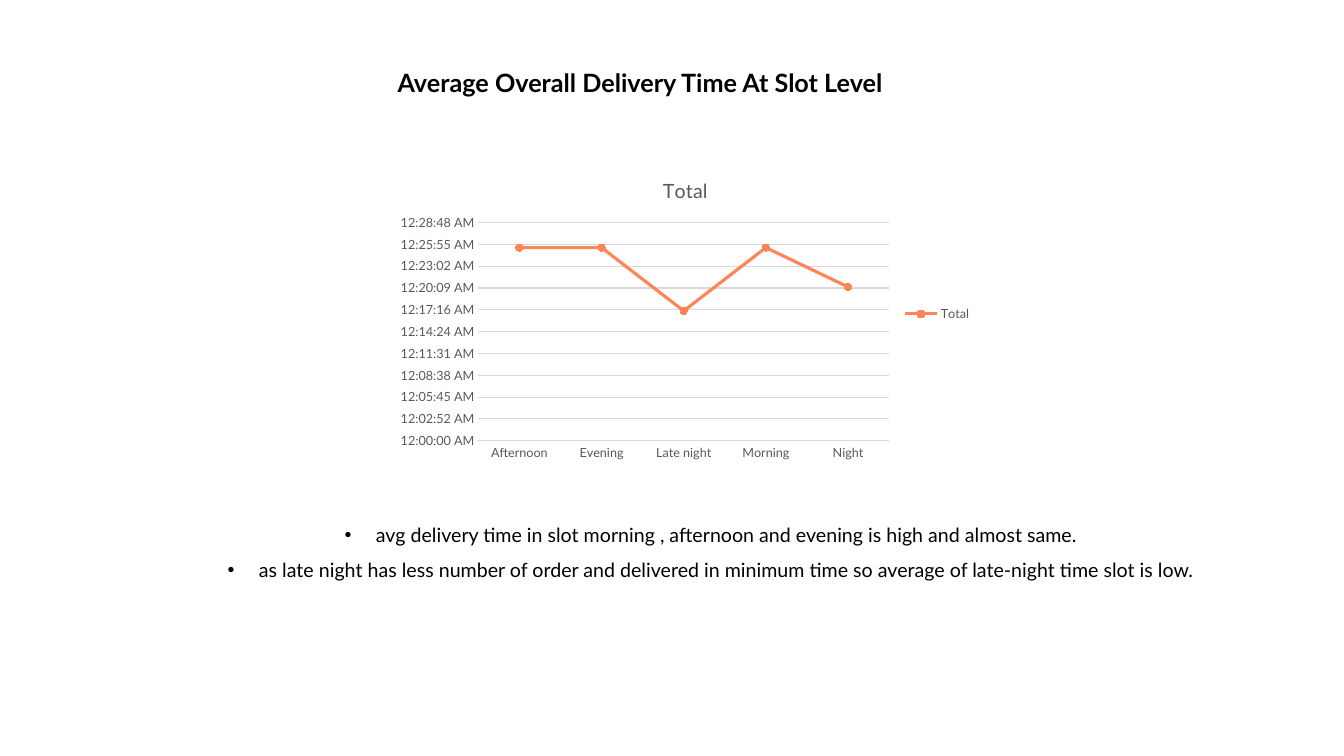
"""Build the slide on average delivery time per slot."""
from lxml.etree import SubElement
from pptx import Presentation
from pptx.chart.data import CategoryChartData
from pptx.dml.color import RGBColor
from pptx.enum.chart import XL_CHART_TYPE, XL_LEGEND_POSITION, XL_MARKER_STYLE, XL_TICK_MARK
from pptx.enum.text import MSO_ANCHOR, MSO_AUTO_SIZE, PP_ALIGN
from pptx.oxml.ns import qn
from pptx.util import Cm, Pt

COLORS = {"text": "000000", "label": "595959", "grid": "D9D9D9", "series": "FD8558"}
FINDINGS = [
    "avg delivery time in slot morning , afternoon and evening is high and almost same.",
    "as late night has less number of order and delivered in minimum time "
    "so average of late-night time slot is low.",
]
AVERAGE_TIMES = {
    "Afternoon": 0.0177,
    "Evening": 0.0177,
    "Late night": 0.0119,
    "Morning": 0.0177,
    "Night": 0.0141,
}


def set_font(font, size, color, bold=False):
    font.name = "Lato"
    font.size = Pt(size)
    font.bold = bold
    font.color.rgb = RGBColor.from_string(COLORS[color])


def set_line(line, color, width):
    line.color.rgb = RGBColor.from_string(COLORS[color])
    line.width = Pt(width)


deck = Presentation()
deck.slide_width = Cm(33.87)
deck.slide_height = Cm(19.05)
page = deck.slides.add_slide(deck.slide_layouts[5])

title = page.shapes.title
title.left, title.top, title.width, title.height = Cm(6.86), Cm(1.57), Cm(18.54), Cm(1.8)
title.text_frame.text = "Average Overall Delivery Time At Slot Level"
title.text_frame.vertical_anchor = MSO_ANCHOR.TOP
title.text_frame.auto_size = MSO_AUTO_SIZE.NONE
title_para = title.text_frame.paragraphs[0]
title_para.alignment = PP_ALIGN.CENTER
set_font(title_para.font, 18, "text", bold=True)

chart_data = CategoryChartData(number_format=r"[$-F400]h:mm:ss\ AM/PM")
chart_data.categories = list(AVERAGE_TIMES)
chart_data.add_series("Total", list(AVERAGE_TIMES.values()))
chart = page.shapes.add_chart(
    XL_CHART_TYPE.LINE_MARKERS_STACKED, Cm(9.8), Cm(4.06), Cm(14.94), Cm(7.7), chart_data
).chart
set_font(chart.font, 10, "text")

chart.has_title = True
chart.chart_title.include_in_layout = False
chart.chart_title.text_frame.text = "Total"
set_font(chart.chart_title.text_frame.paragraphs[0].font, 14, "label")

chart.has_legend = True
chart.legend.position = XL_LEGEND_POSITION.RIGHT
chart.legend.include_in_layout = False
set_font(chart.legend.font, 9, "label")

slot_axis, time_axis = chart.category_axis, chart.value_axis
for axis in (slot_axis, time_axis):
    axis.major_tick_mark = XL_TICK_MARK.NONE
    axis.minor_tick_mark = XL_TICK_MARK.NONE
    set_font(axis.tick_labels.font, 9, "label")
set_line(slot_axis.format.line, "grid", 0.75)
time_axis.format.line.fill.background()
time_axis.minimum_scale = 0
time_axis.maximum_scale = 0.02
time_axis.major_unit = 0.002
time_axis.has_major_gridlines = True
set_line(time_axis.major_gridlines.format.line, "grid", 0.75)
time_axis.tick_labels.number_format = r"[$-F400]h:mm:ss\ AM/PM"
time_axis.tick_labels.number_format_is_linked = False

chart.plots[0].vary_by_categories = False
series = chart.plots[0].series[0]
series.smooth = False
set_line(series.format.line, "series", 2.25)
series.marker.style = XL_MARKER_STYLE.CIRCLE
series.marker.size = 5
series.marker.format.fill.solid()
series.marker.format.fill.fore_color.rgb = RGBColor.from_string(COLORS["series"])
set_line(series.marker.format.line, "series", 0.75)

findings_box = page.shapes.add_textbox(Cm(5.26), Cm(13.11), Cm(25.32), Cm(3.28))
findings_frame = findings_box.text_frame
findings_frame.word_wrap = True
for index, finding in enumerate(FINDINGS):
    para = findings_frame.add_paragraph() if index else findings_frame.paragraphs[0]
    para.text = finding
    para.alignment = PP_ALIGN.CENTER
    para.line_spacing = 0.9
    para.space_before = Pt(10 if index else 0)
    properties = para._p.get_or_add_pPr()
    properties.set("marL", str(Cm(0.79)))
    properties.set("indent", str(-Cm(0.79)))
    SubElement(properties, qn("a:buFont"), typeface="Arial")
    SubElement(properties, qn("a:buChar"), char="•")
    set_font(para.font, 14, "text")

deck.save("out.pptx")
